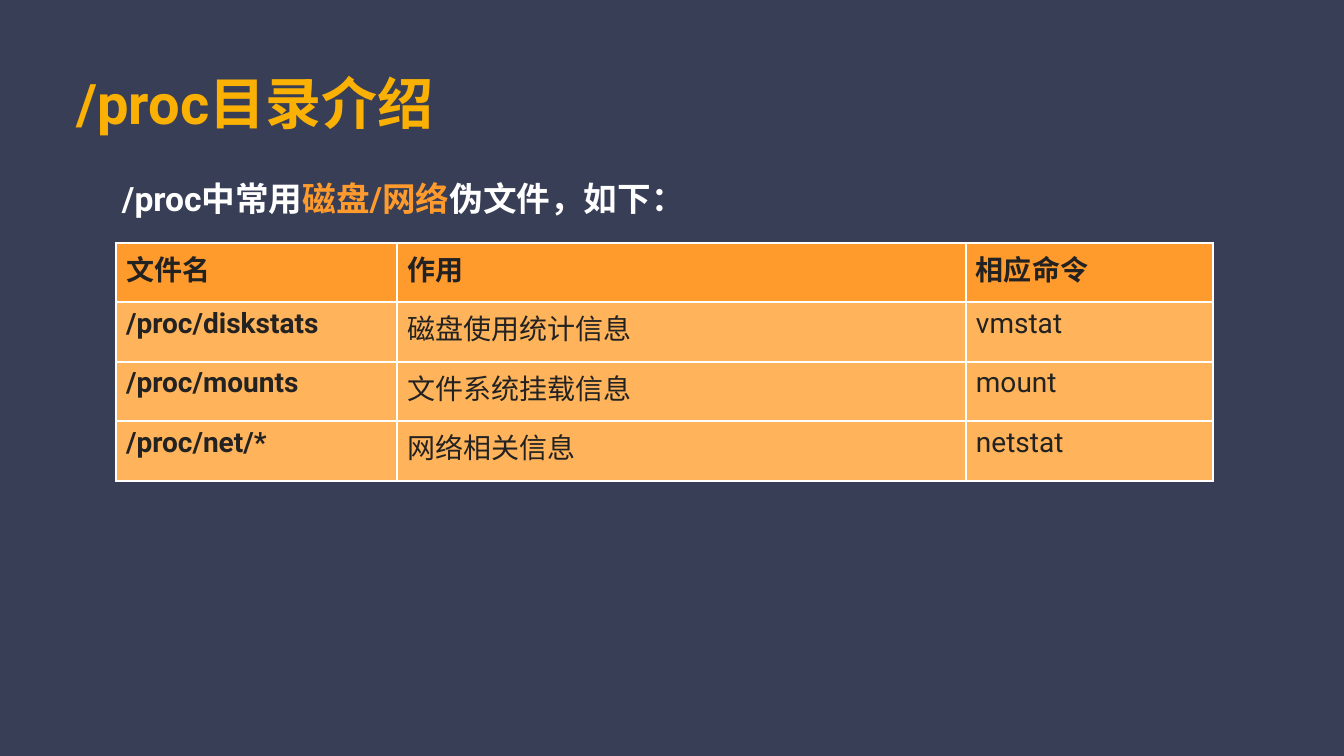
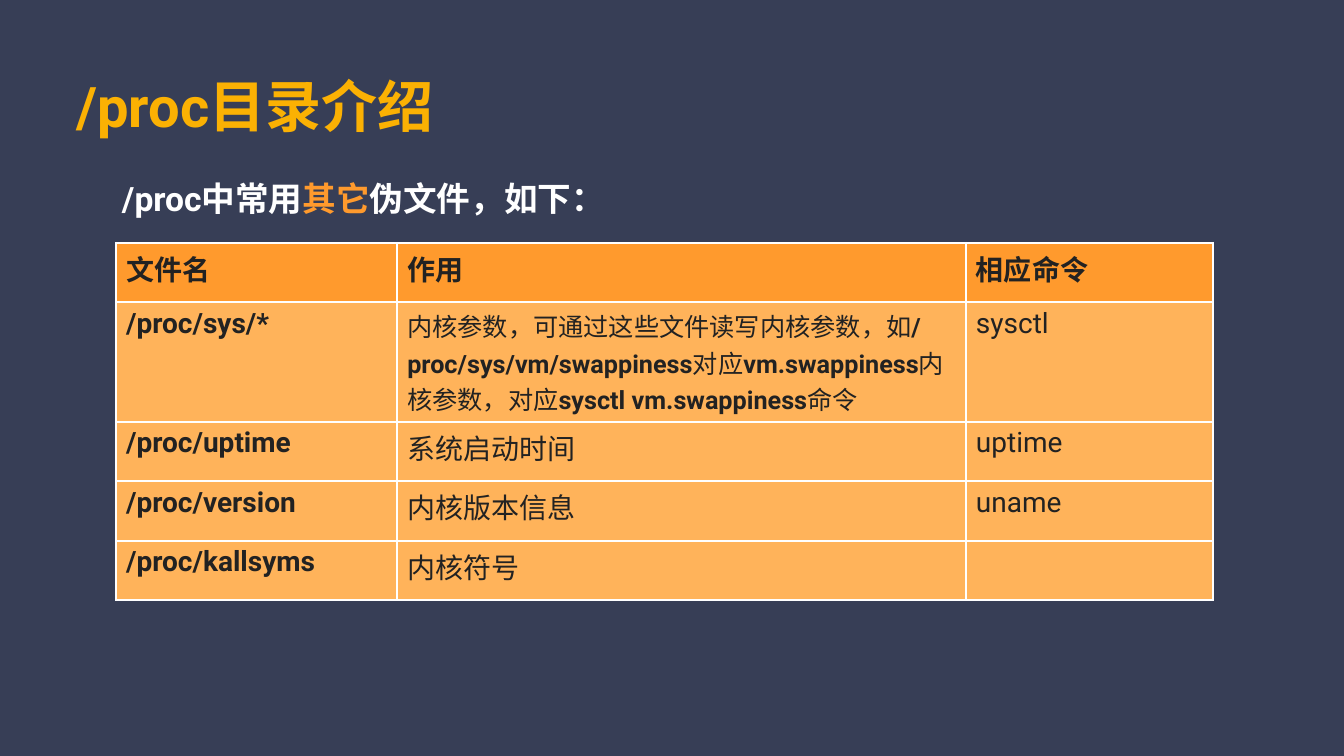
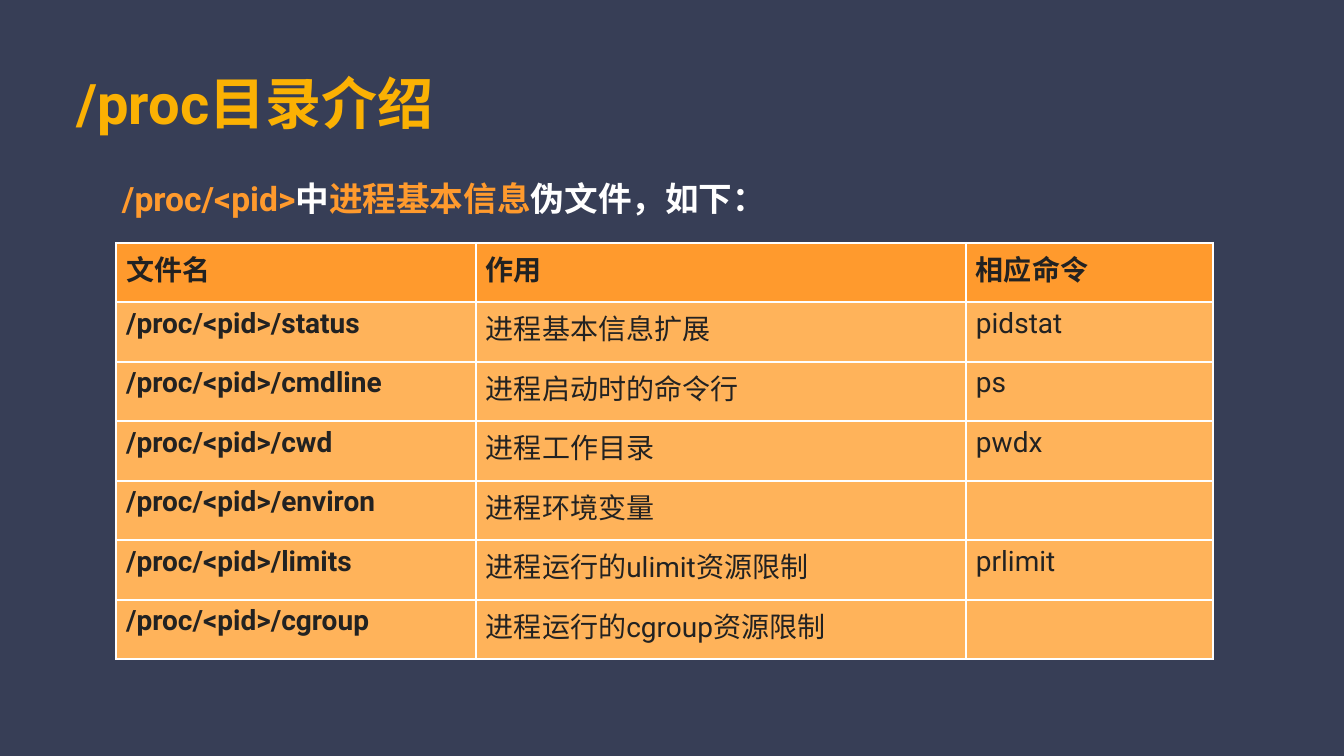
from lxml import etree
from pptx import Presentation
from pptx.dml.color import RGBColor
from pptx.enum.lang import MSO_LANGUAGE_ID
from pptx.enum.text import MSO_ANCHOR, MSO_AUTO_SIZE, PP_ALIGN
from pptx.oxml.ns import qn
from pptx.util import Inches, Pt

FONT = "Roboto"
NAVY, GOLD, WHITE, INK = "373E56", "FBB103", "FFFFFF", "222222"
ORANGE, LIGHT_ORANGE = "FF9A2D", "FFB35A"

TITLE = "/proc目录介绍"
HEADER = ("文件名", "作用", "相应命令")
TABLE_WIDTH, COMMAND_WIDTH, ROW_HEIGHT = 10.88, 2.45, 0.59

# A list of text pieces alternates plain, emphasised, plain and so on.
SLIDES = [
    {
        "title_height": 0.99,
        "lead": ["/proc中常用", "磁盘/网络", "伪文件，如下："],
        "file_width": 2.79,
        "files": [
            ("/proc/diskstats", "磁盘使用统计信息", "vmstat"),
            ("/proc/mounts", "文件系统挂载信息", "mount"),
            ("/proc/net/*", "网络相关信息", "netstat"),
        ],
    },
    {
        "title_height": 1.05,
        "lead": ["/proc中常用", "其它", "伪文件，如下："],
        "file_width": 2.79,
        "files": [
            ("/proc/sys/*",
             ["内核参数，可通过这些文件读写内核参数，如", "/proc/sys/vm/swappiness",
              "对应", "vm.swappiness",
              "内核参数，对应", "sysctl vm.swappiness", "命令"],
             "sysctl"),
            ("/proc/uptime", "系统启动时间", "uptime"),
            ("/proc/version", "内核版本信息", "uname"),
            ("/proc/kallsyms", "内核符号", ""),
        ],
    },
    {
        "title_height": 0.99,
        "lead": ["", "/proc/<pid>", "中", "进程基本信息", "伪文件，如下："],
        "file_width": 3.57,
        "files": [
            ("/proc/<pid>/status", "进程基本信息扩展", "pidstat"),
            ("/proc/<pid>/cmdline", "进程启动时的命令行", "ps"),
            ("/proc/<pid>/cwd", "进程工作目录", "pwdx"),
            ("/proc/<pid>/environ", "进程环境变量", ""),
            ("/proc/<pid>/limits", "进程运行的ulimit资源限制", "prlimit"),
            ("/proc/<pid>/cgroup", "进程运行的cgroup资源限制", ""),
        ],
    },
]


def paint(fill, color):
    fill.solid()
    fill.fore_color.rgb = RGBColor.from_string(color)


def write(frame, text, size=20, color=INK, bold=False, strong_color=None):
    """Write a string or a list of pieces; emphasised pieces are always bold."""
    paragraph = frame.paragraphs[0]
    paragraph.alignment = PP_ALIGN.LEFT
    pieces = [text] if isinstance(text, str) else text
    for index, piece in enumerate(pieces):
        if not piece:
            continue
        strong = index % 2 == 1
        run = paragraph.add_run()
        run.text = piece
        font = run.font
        font.name, font.size = FONT, Pt(size)
        font.bold = bold or strong
        font.language_id = MSO_LANGUAGE_ID.SIMPLIFIED_CHINESE
        paint(font.fill, strong_color if strong and strong_color else color)


def set_frame(frame, margin, auto_size):
    frame.word_wrap = True
    frame.auto_size = auto_size
    frame.vertical_anchor = MSO_ANCHOR.MIDDLE
    frame.margin_left = frame.margin_right = Inches(margin)
    frame.margin_top = frame.margin_bottom = Inches(margin)


def set_borders(cell, color=WHITE, width=1.5):
    """Draw all four sides; call before filling, as the XML order requires."""
    properties = cell._tc.get_or_add_tcPr()
    for side in ("a:lnL", "a:lnR", "a:lnT", "a:lnB"):
        line = etree.SubElement(properties, qn(side), w=str(Pt(width)))
        fill = etree.SubElement(line, qn("a:solidFill"))
        etree.SubElement(fill, qn("a:srgbClr"), val=color)


def add_title(slide, height):
    title = slide.shapes.title
    title.left, title.top = Inches(0.68), Inches(0.52)
    title.width, title.height = Inches(11.64), Inches(height)
    set_frame(title.text_frame, 0.08, MSO_AUTO_SIZE.NONE)
    write(title.text_frame, TITLE, size=40, color=GOLD, bold=True)


def add_lead(slide, pieces):
    lead = slide.shapes.add_textbox(
        Inches(1.15), Inches(1.71), Inches(11.11), Inches(0.51))
    set_frame(lead.text_frame, 0.06, MSO_AUTO_SIZE.SHAPE_TO_FIT_TEXT)
    write(lead.text_frame, pieces, size=24, color=WHITE, bold=True,
          strong_color=ORANGE)


def add_file_table(slide, file_width, files):
    rows = [HEADER, *files]
    purpose_width = TABLE_WIDTH - file_width - COMMAND_WIDTH
    widths = (file_width, purpose_width, COMMAND_WIDTH)
    table = slide.shapes.add_table(
        len(rows), len(widths), Inches(1.15), Inches(2.41),
        Inches(TABLE_WIDTH), Inches(ROW_HEIGHT * len(rows))).table
    table.first_row = table.horz_banding = False
    for column, width in zip(table.columns, widths):
        column.width = Inches(width)
    for row_index, (row, texts) in enumerate(zip(table.rows, rows)):
        row.height = Inches(ROW_HEIGHT)
        is_header = row_index == 0
        for column_index, (cell, text) in enumerate(zip(row.cells, texts)):
            is_file_name = column_index == 0
            is_long = isinstance(text, list)
            set_borders(cell)
            paint(cell.fill, ORANGE if is_header else LIGHT_ORANGE)
            write(cell.text_frame, text, size=18 if is_long else 20,
                  bold=is_header or is_file_name)


def main():
    deck = Presentation()
    deck.slide_width, deck.slide_height = Inches(13.33), Inches(7.5)
    paint(deck.slide_master.background.fill, NAVY)
    title_only = deck.slide_layouts.get_by_name("Title Only")
    for content in SLIDES:
        slide = deck.slides.add_slide(title_only)
        add_title(slide, content["title_height"])
        add_file_table(slide, content["file_width"], content["files"])
        add_lead(slide, content["lead"])
    deck.save("out.pptx")


if __name__ == "__main__":
    main()
